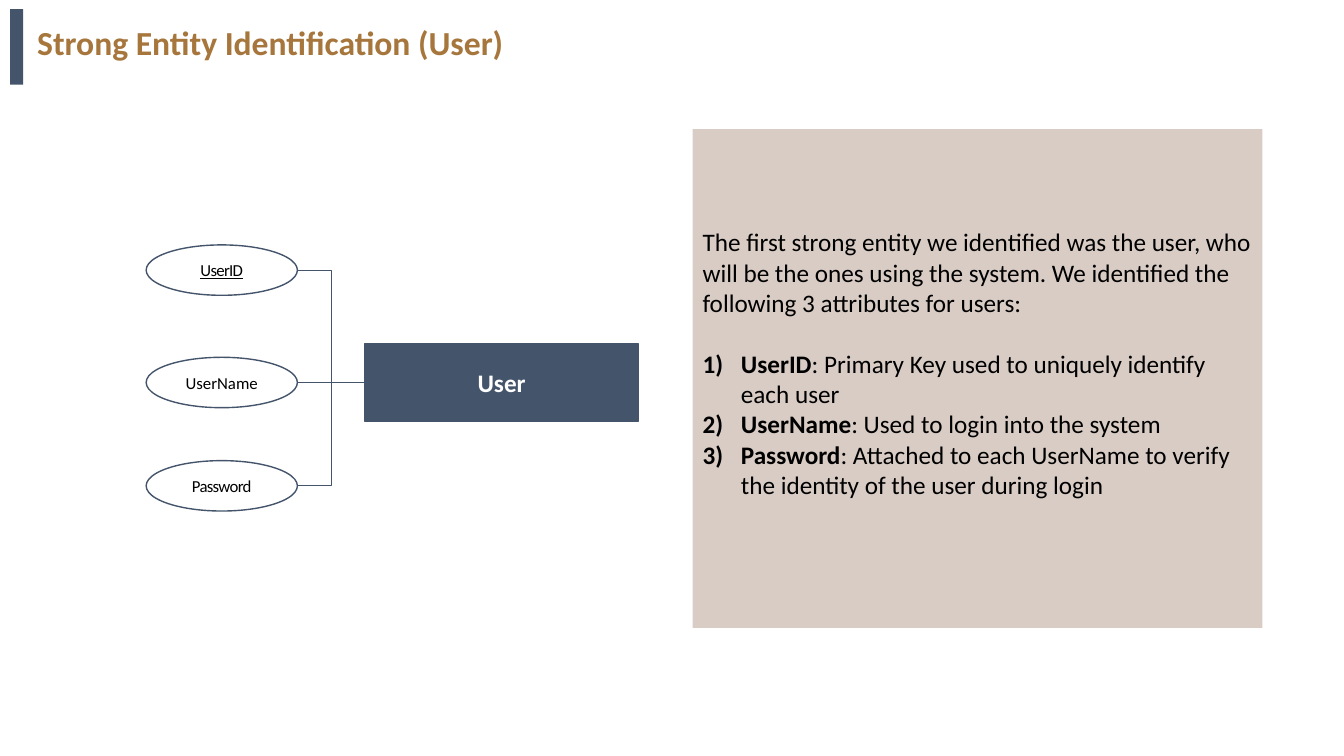
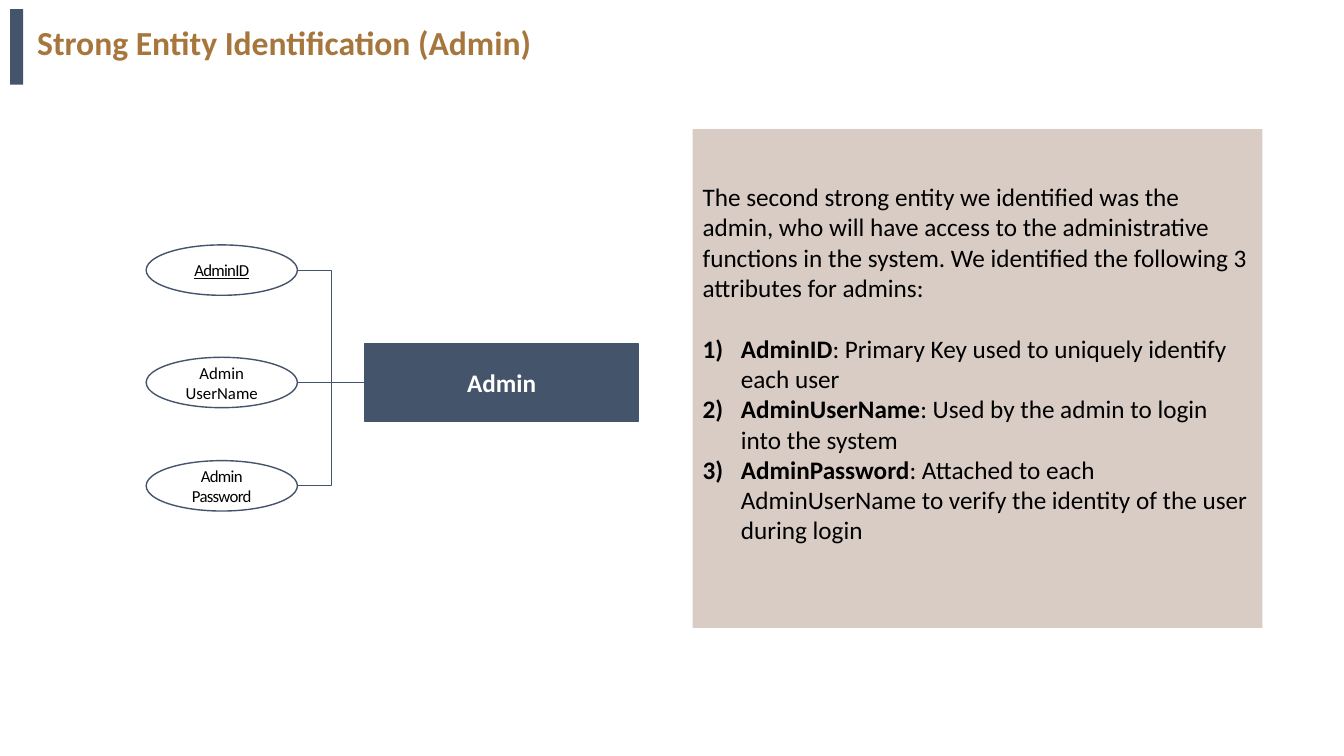
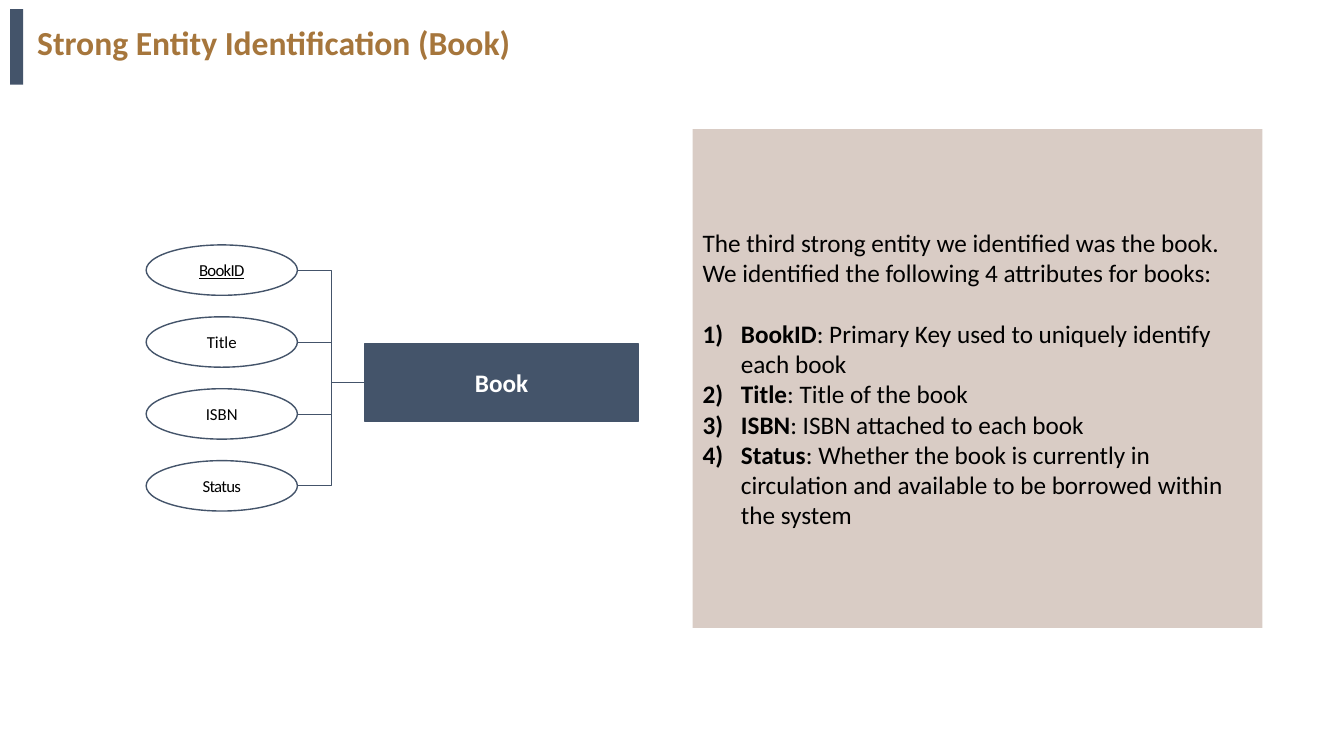
from collections import namedtuple
from dataclasses import dataclass

from lxml import etree
from pptx import Presentation
from pptx.dml.color import RGBColor
from pptx.enum.shapes import MSO_CONNECTOR, MSO_SHAPE
from pptx.enum.text import MSO_ANCHOR, PP_ALIGN
from pptx.oxml.ns import qn
from pptx.util import Inches, Pt

RECTANGLE, OVAL = MSO_SHAPE.RECTANGLE, MSO_SHAPE.OVAL
ELBOW, STRAIGHT = MSO_CONNECTOR.ELBOW, MSO_CONNECTOR.STRAIGHT
MIDDLE, LEFT, CENTER = MSO_ANCHOR.MIDDLE, PP_ALIGN.LEFT, PP_ALIGN.CENTER

Box = namedtuple("Box", "left top width height")


@dataclass(frozen=True)
class Theme:
    """Colours, font and sizes shared by every slide."""
    navy: RGBColor = RGBColor(0x44, 0x54, 0x6A)
    gold: RGBColor = RGBColor(0xA6, 0x76, 0x3C)
    sand: RGBColor = RGBColor(0xD9, 0xCC, 0xC5)
    black: RGBColor = RGBColor(0, 0, 0)
    white: RGBColor = RGBColor(255, 255, 255)
    font: str = "Calibri"
    title_size: int = 24
    body_size: int = 18
    attribute_size: int = 12
    outline: float = 1
    connector: float = 0.5


THEME = Theme()
BAND = Box(0.1, 0.09, 0.13, 0.75)
TITLE = Box(0.27, 0.15, 10.79, 0.58)
DIAGRAM = Box(1.45, 2.43, 4.88, 2.64)
PANEL = Box(6.87, 1.28, 5.65, 4.95)
ATTRIBUTE_WIDTH, ATTRIBUTE_HEIGHT = 1.5, 0.5
ENTITY_WIDTH, ENTITY_HEIGHT, ENTITY_OFFSET = 2.71, 0.77, 0.98
BODY_LINE = 22
NUMBER_INDENT = 0.38

ENTITIES = [
    {
        "name": "User",
        "labels": ["UserID", "UserName", "Password"],
        "intro": "The first strong entity we identified was the user, who will be the ones "
                 "using the system. We identified the following 3 attributes for users:",
        "details": [
            ("UserID", "Primary Key used to uniquely identify each user"),
            ("UserName", "Used to login into the system"),
            ("Password", "Attached to each UserName to verify the identity of the user "
                         "during login"),
        ],
        "lines_below": 1,
    },
    {
        "name": "Admin",
        "labels": ["AdminID", "Admin\nUserName", "Admin\nPassword"],
        "intro": "The second strong entity we identified was the admin, who will have access "
                 "to the administrative functions in the system. We identified the following "
                 "3 attributes for admins:",
        "details": [
            ("AdminID", "Primary Key used to uniquely identify each user"),
            ("AdminUserName", "Used by the admin to login into the system"),
            ("AdminPassword", "Attached to each AdminUserName to verify the identity of the "
                              "user during login"),
        ],
        "lines_below": 1,
    },
    {
        "name": "Book",
        "labels": ["BookID", "Title", "ISBN", "Status"],
        "intro": "The third strong entity we identified was the book. We identified the "
                 "following 4 attributes for books:",
        "details": [
            ("BookID", "Primary Key used to uniquely identify each book"),
            ("Title", "Title of the book"),
            ("ISBN", "ISBN attached to each book"),
            ("Status", "Whether the book is currently in circulation and available to be "
                       "borrowed within the system"),
        ],
        "lines_below": 0,
    },
]


def add_run(paragraph, text, size, color, **formats):
    """Add a run in the theme font with the given format values."""
    run = paragraph.add_run()
    run.text = text
    for name, value in {"name": THEME.font, "size": Pt(size), **formats}.items():
        setattr(run.font, name, value)
    run.font.color.rgb = color
    return run


def add_box(shapes, kind, box, fill=None, line=None):
    """Add a flat preset shape with optional fill and outline."""
    shape = shapes.add_shape(kind, *map(Inches, box))
    shape.shadow.inherit = False
    if fill is None:
        shape.fill.background()
    else:
        shape.fill.solid()
        shape.fill.fore_color.rgb = fill
    if line is None:
        shape.line.fill.background()
    else:
        shape.line.color.rgb = line
        shape.line.width = Pt(THEME.outline)
    shape.text_frame.word_wrap = True
    shape.text_frame.vertical_anchor = MIDDLE
    return shape


def add_link(shapes, start, end):
    """Join two points, with an elbow where their heights differ."""
    kind = STRAIGHT if start[1] == end[1] else ELBOW
    connector = shapes.add_connector(kind, *map(Inches, (*start, *end)))
    connector.line.color.rgb = THEME.navy
    connector.line.width = Pt(THEME.connector)
    etree.SubElement(connector._element.spPr, qn("a:effectLst"))


def add_header(slide, text):
    """Add the side band and the slide title."""
    add_box(slide.shapes, RECTANGLE, BAND, fill=THEME.navy)
    frame = slide.shapes.add_textbox(*map(Inches, TITLE)).text_frame
    frame.word_wrap = True
    frame.vertical_anchor = MIDDLE
    paragraph = frame.paragraphs[0]
    paragraph.line_spacing = 0.9
    add_run(paragraph, text, THEME.title_size, THEME.gold, bold=True)


def add_attribute(shapes, box, label, is_key, is_tight):
    """Add one attribute ellipse, underlined when it is the key."""
    frame = add_box(shapes, OVAL, box, line=THEME.navy).text_frame
    for side in ("left", "top", "right", "bottom"):
        setattr(frame, f"margin_{side}", 0)
    for index, text in enumerate(label.split("\n")):
        paragraph = frame.add_paragraph() if index else frame.paragraphs[0]
        paragraph.alignment = CENTER
        run = add_run(paragraph, text, THEME.attribute_size, THEME.black,
                      underline=is_key or None)
        if is_tight:
            run._r.get_or_add_rPr().set("spc", "-50")


def add_diagram(slide, box, name, labels):
    """Add an entity with its column of attributes inside the box."""
    shapes = slide.shapes.add_group_shape().shapes
    entity_left = box.left + box.width - ENTITY_WIDTH
    entity_top = box.top + ENTITY_OFFSET
    entity_middle = entity_top + ENTITY_HEIGHT / 2
    last = len(labels) - 1
    step = (box.height - ATTRIBUTE_HEIGHT) / last
    for index, label in enumerate(labels):
        middle = box.top + index * step + ATTRIBUTE_HEIGHT / 2
        if index * 2 == last:
            middle = entity_middle
        attribute = Box(box.left, middle - ATTRIBUTE_HEIGHT / 2,
                        ATTRIBUTE_WIDTH, ATTRIBUTE_HEIGHT)
        add_attribute(shapes, attribute, label, index == 0, index in (0, last))
        add_link(shapes, (box.left + ATTRIBUTE_WIDTH, middle), (entity_left, entity_middle))
    entity = add_box(shapes, RECTANGLE,
                     Box(entity_left, entity_top, ENTITY_WIDTH, ENTITY_HEIGHT),
                     fill=THEME.navy, line=THEME.navy)
    paragraph = entity.text_frame.paragraphs[0]
    paragraph.alignment = CENTER
    add_run(paragraph, name, THEME.body_size, THEME.white, bold=True)


def number_paragraph(paragraph):
    """Give the paragraph a hanging automatic number."""
    properties = paragraph._p.get_or_add_pPr()
    properties.set("marL", str(Inches(NUMBER_INDENT)))
    properties.set("indent", str(-Inches(NUMBER_INDENT)))
    etree.SubElement(properties, qn("a:buFont"), typeface=THEME.font)
    etree.SubElement(properties, qn("a:buAutoNum"), type="arabicParenR")


def add_panel(slide, box, intro, details, lines_below):
    """Add the panel with an introduction and numbered attributes."""
    frame = add_box(slide.shapes, RECTANGLE, box, fill=THEME.sand).text_frame
    frame.margin_bottom = Inches(0.05) + Pt(BODY_LINE * lines_below)
    paragraph = frame.paragraphs[0]
    paragraph.alignment = LEFT
    paragraph.space_after = Pt(BODY_LINE)
    add_run(paragraph, intro, THEME.body_size, THEME.black)
    for term, meaning in details:
        paragraph = frame.add_paragraph()
        paragraph.alignment = LEFT
        number_paragraph(paragraph)
        add_run(paragraph, term, THEME.body_size, THEME.black, bold=True)
        add_run(paragraph, f": {meaning}", THEME.body_size, THEME.black, bold=False)


def add_entity_slide(presentation, name, labels, intro, details, lines_below):
    """Add one slide that presents an entity."""
    slide = presentation.slides.add_slide(presentation.slide_layouts[6])
    add_header(slide, f"Strong Entity Identification ({name})")
    add_panel(slide, PANEL, intro, details, lines_below)
    add_diagram(slide, DIAGRAM, name, labels)


def main():
    """Build and save the presentation."""
    presentation = Presentation()
    presentation.slide_width = Inches(13.33)
    presentation.slide_height = Inches(7.5)
    for entity in ENTITIES:
        add_entity_slide(presentation, **entity)
    presentation.save("out.pptx")


if __name__ == "__main__":
    main()
